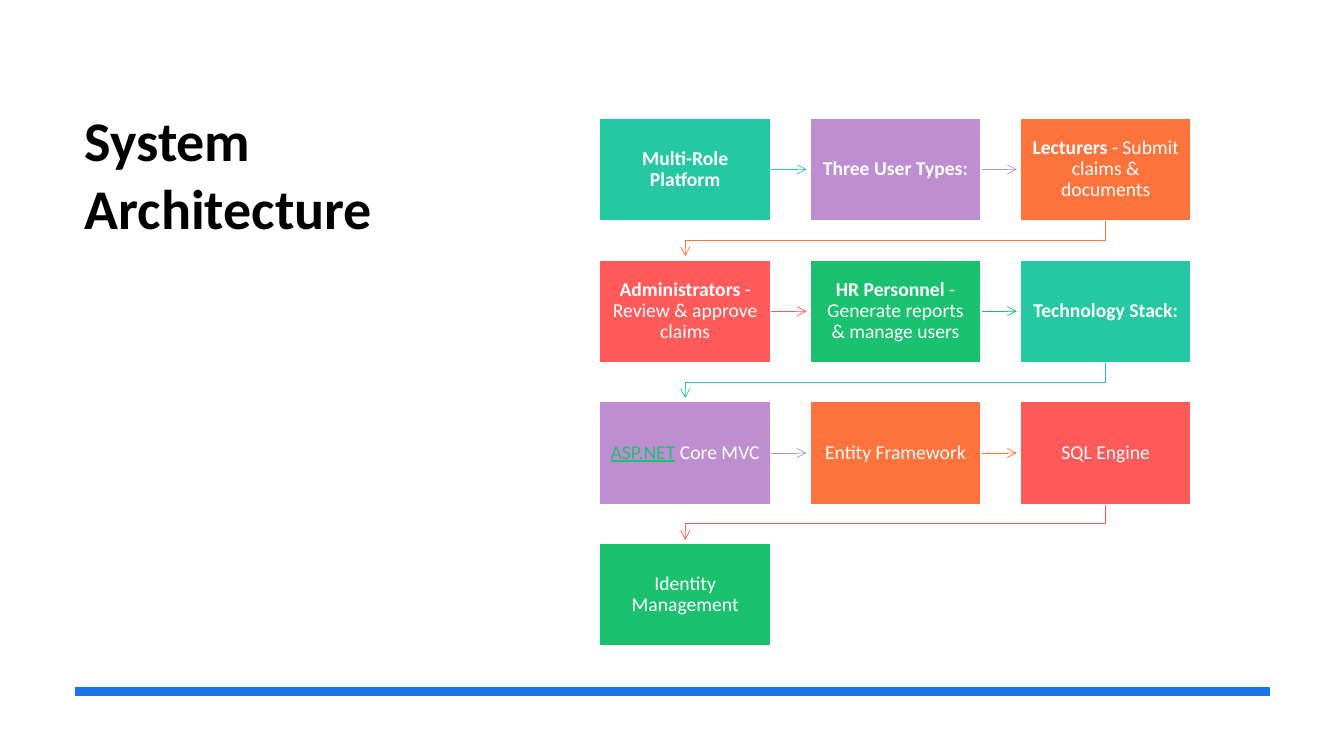
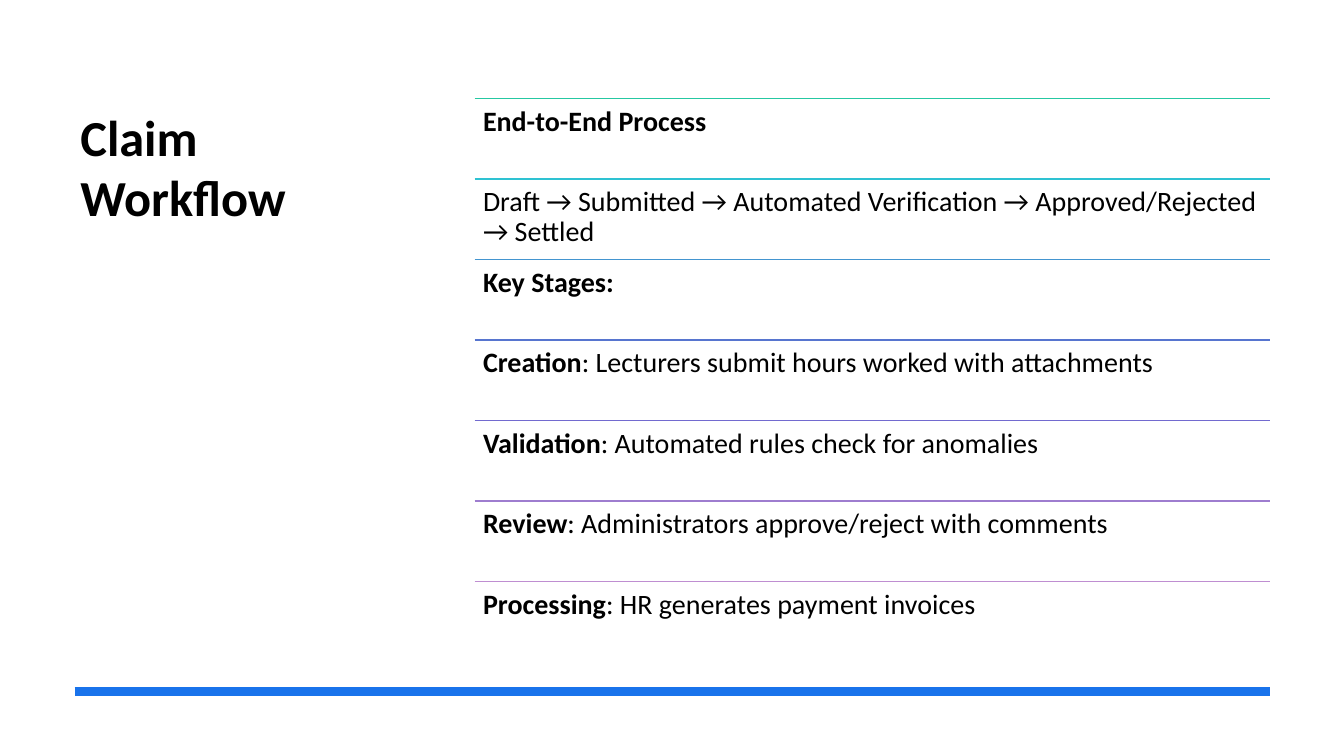
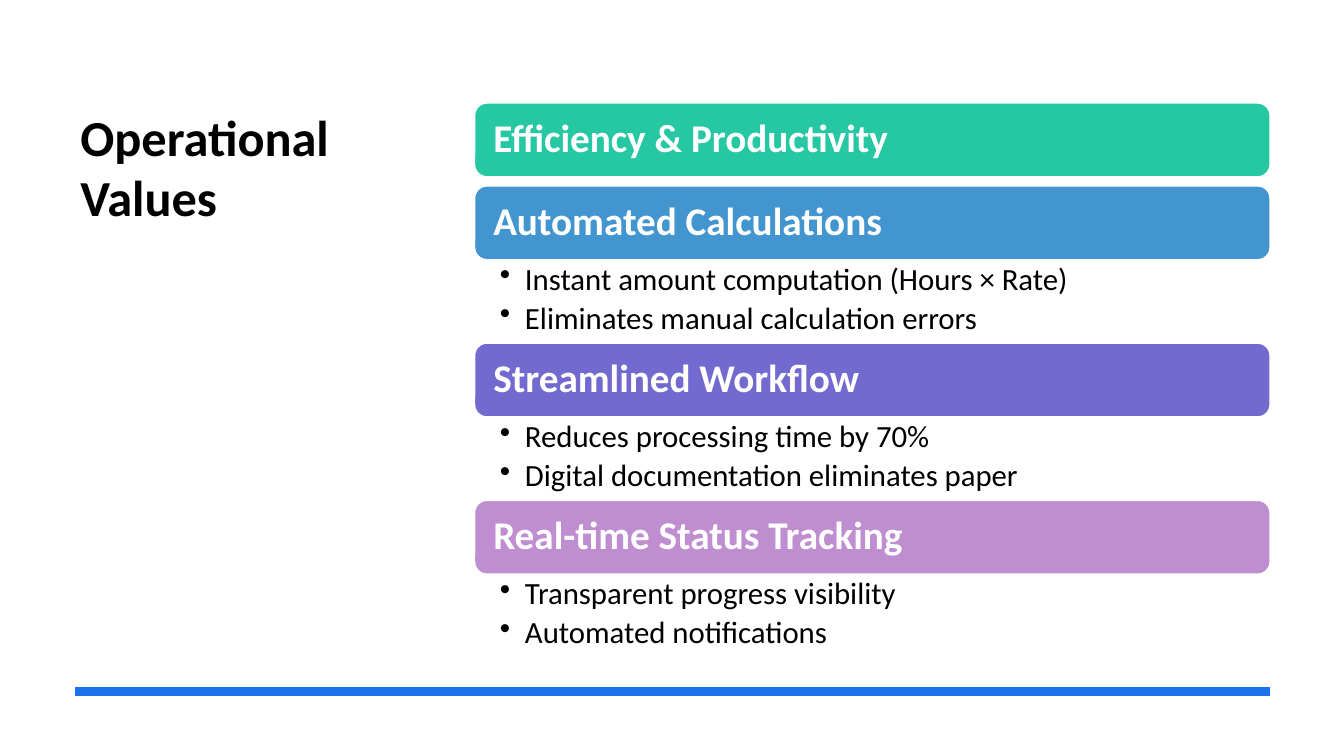
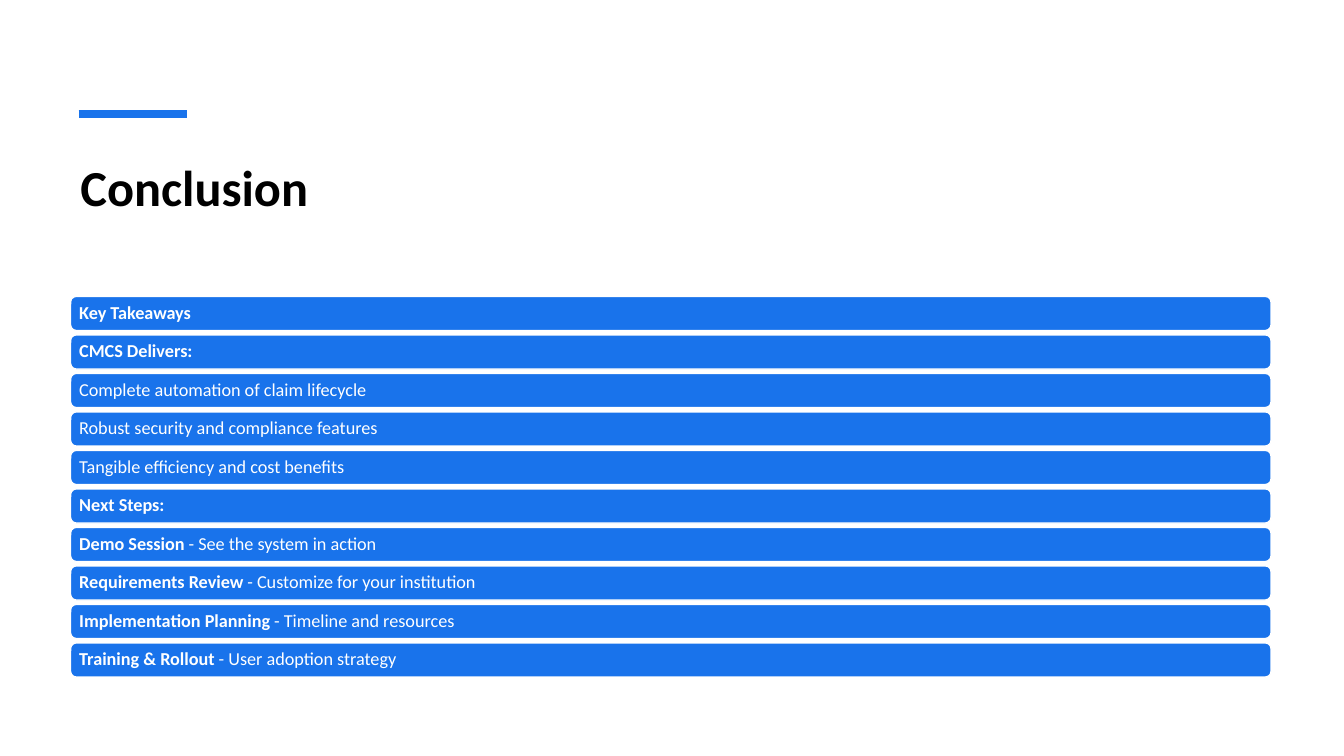
from lxml import etree
from pptx import Presentation
from pptx.dml.color import RGBColor
from pptx.enum import shapes, text
from pptx.oxml import ns
from pptx.util import Pt

BLUE, WHITE, BLACK = "1973EB", "FFFFFF", "000000"
TEAL, LILAC, ORANGE, RED, GREEN = "25C8A2", "BF8ED1", "FE733C", "FE5A5A", "1AC16E"
SKY, VIOLET = "4395D0", "726ACF"


def rgb(code):
    return RGBColor.from_string(code)


def both(lead, rest=""):
    return [(lead, "bold"), (rest, "")] if rest else [(lead, "bold")]


def plain(words):
    return [(words, "")]


class Deck:
    """Holds the style, the presentation and the current slide."""

    font = "Calibri"

    def __init__(self):
        self.prs = Presentation()
        self.prs.slide_width, self.prs.slide_height = Pt(960), Pt(540)

    def page(self, title, box, size=36, foot=True):
        self.slide = self.prs.slides.add_slide(self.prs.slide_layouts[5])
        head = self.slide.shapes.title
        head.left, head.top, head.width, head.height = map(Pt, box)
        self.prose(head.text_frame, [both(title)], size, BLACK, space=1)
        if foot:
            self.line((53.3, 494), (907.2, 494), BLUE, 6)

    def prose(self, frame, paras, size, color, inset=(7.2, 3.6, 7.2, 3.6),
              align=text.PP_ALIGN.LEFT, anchor=text.MSO_ANCHOR.TOP,
              space=0.9, after=0, bullet=False):
        frame.word_wrap = True
        frame.auto_size = text.MSO_AUTO_SIZE.NONE
        frame.vertical_anchor = anchor
        (frame.margin_left, frame.margin_top,
         frame.margin_right, frame.margin_bottom) = map(Pt, inset)
        for i, runs in enumerate(paras):
            para = frame.add_paragraph() if i else frame.paragraphs[0]
            if bullet:
                props = para._p.get_or_add_pPr()
                props.set("marL", str(Pt(18)))
                props.set("indent", str(-Pt(18)))
                etree.SubElement(props, ns.qn("a:buChar"), char="•")
            para.alignment = align
            para.line_spacing = space
            para.space_after = Pt(after)
            for words, style in runs:
                run = para.add_run()
                run.text = words
                face = run.font
                face.name, face.size = self.font, Pt(size)
                face.bold = style == "bold"
                face.underline = style == "link"
                face.color.rgb = rgb(GREEN if style == "link" else color)

    def label(self, box, paras, size, **look):
        frame = self.slide.shapes.add_textbox(*map(Pt, box)).text_frame
        self.prose(frame, paras, size, BLACK, **look)

    def block(self, box, runs, fill, size, inset, rounded=True, **look):
        kind = shapes.MSO_SHAPE
        kind = kind.ROUNDED_RECTANGLE if rounded else kind.RECTANGLE
        shape = self.slide.shapes.add_shape(kind, *map(Pt, box))
        shape.shadow.inherit = False
        shape.fill.solid()
        shape.fill.fore_color.rgb = rgb(fill)
        self.stroke(shape, WHITE, 1)
        self.prose(shape.text_frame, [runs], size, WHITE, inset,
                   anchor=text.MSO_ANCHOR.MIDDLE, **look)

    def stroke(self, shape, color, width, arrow=False):
        shape.line.color.rgb = rgb(color)
        shape.line.width = Pt(width)
        if arrow:
            edge = shape._element.spPr.find(ns.qn("a:ln"))
            etree.SubElement(edge, ns.qn("a:tailEnd"), type="arrow")

    def line(self, start, end, color, width, arrow=False):
        link = self.slide.shapes.add_connector(
            shapes.MSO_CONNECTOR.STRAIGHT, *map(Pt, start + end))
        self.stroke(link, color, width, arrow)
        etree.SubElement(link._element.spPr, ns.qn("a:effectLst"))

    def bend(self, points, color):
        spots = [(Pt(x), Pt(y)) for x, y in points]
        pen = self.slide.shapes.build_freeform(*spots[0])
        pen.add_line_segments(spots[1:], close=False)
        shape = pen.convert_to_shape()
        shape.shadow.inherit = False
        shape.fill.background()
        self.stroke(shape, color, 0.5, True)


def system(deck):
    deck.page("System Architecture", (53.3, 72, 289.5, 327.6), 40)
    steps = [
        both("Multi-Role Platform"),
        both("Three User Types:"),
        both("Lecturers", " - Submit claims & documents"),
        both("Administrators", " - Review & approve claims"),
        both("HR Personnel", " - Generate reports & manage users"),
        both("Technology Stack:"),
        [("ASP.NET", "link"), (" Core MVC", "")],
        plain("Entity Framework"),
        plain("SQL Engine"),
        plain("Identity Management"),
    ]
    tints = [TEAL, LILAC, ORANGE, RED, GREEN]
    left, top, wide, high = 428.4, 84.4, 122.1, 73.2
    for i, runs in enumerate(steps):
        row, col = divmod(i, 3)
        x, y = left + col * 150.2, top + row * 101.3
        tint = tints[i % len(tints)]
        mid, base = x + wide / 2, y + high
        if col < 2 and i < len(steps) - 1:
            level = y + high / 2
            deck.line((x + wide, level), (x + wide + 25.6, level), tint, 0.5, True)
        elif col == 2:
            goal = left + wide / 2
            deck.bend([(mid, base), (mid, base + 14), (goal, base + 14),
                       (goal, base + 25.4)], tint)
        deck.block((x, y, wide, high), runs, tint, 14, (6, 6.3, 6, 6.3),
                   rounded=False, align=text.PP_ALIGN.CENTER)


def claims(deck):
    deck.page("Claim Workflow", (50.2, 72, 236, 327.6))
    rows = [
        (TEAL, both("End-to-End Process")),
        ("2EC2D2", plain("Draft → Submitted → Automated Verification → "
                         "Approved/Rejected → Settled")),
        (SKY, both("Key Stages:")),
        ("5775CF", both("Creation", ": Lecturers submit hours worked with attachments")),
        (VIOLET, both("Validation", ": Automated rules check for anomalies")),
        ("9E7DCF", both("Review", ": Administrators approve/reject with comments")),
        (LILAC, both("Processing", ": HR generates payment invoices")),
    ]
    for i, (tint, runs) in enumerate(rows):
        y = 70.3 + i * 57.5
        deck.line((339, y), (907.2, y), tint, 1)
        deck.label((339, y, 568.2, 57.5), [runs], 20, inset=(6, 6, 6, 6))


def values(deck):
    deck.page("Operational Values", (50.2, 72, 236, 327.6))
    parts = [
        (TEAL, "Efficiency & Productivity", []),
        (SKY, "Automated Calculations",
         ["Instant amount computation (Hours × Rate)",
          "Eliminates manual calculation errors"]),
        (VIOLET, "Streamlined Workflow",
         ["Reduces processing time by 70%",
          "Digital documentation eliminates paper"]),
        (LILAC, "Real-time Status Tracking",
         ["Transparent progress visibility", "Automated notifications"]),
    ]
    y, high = 73.6, 52.7
    for tint, name, items in parts:
        deck.block((339, y, 568.2, high), both(name), tint, 28, (10.8, 3, 10.8, 3))
        y += high
        if items:
            deck.label((339, y, 568.2, 59), [plain(item) for item in items], 22,
                       inset=(18, 3, 16, 3), after=4, bullet=True)
        y += 59.6 if items else 6.5


def ending(deck):
    deck.page("Conclusion", (50.2, 108, 857.5, 86.4), foot=False)
    deck.line((56.2, 81.3), (133.3, 81.3), BLUE, 6)
    rows = [
        both("Key Takeaways"),
        both("CMCS Delivers:"),
        plain("Complete automation of claim lifecycle"),
        plain("Robust security and compliance features"),
        plain("Tangible efficiency and cost benefits"),
        both("Next Steps:"),
        both("Demo Session", " - See the system in action"),
        both("Requirements Review", " - Customize for your institution"),
        both("Implementation Planning", " - Timeline and resources"),
        both("Training & Rollout", " - User adoption strategy"),
    ]
    for i, runs in enumerate(rows):
        deck.block((50.4, 211.7 + i * 27.5, 857.5, 24.4), runs, BLUE, 13, (5, 3, 5, 3))


def main():
    deck = Deck()
    for build in (system, claims, values, ending):
        build(deck)
    deck.prs.save("out.pptx")


if __name__ == "__main__":
    main()
